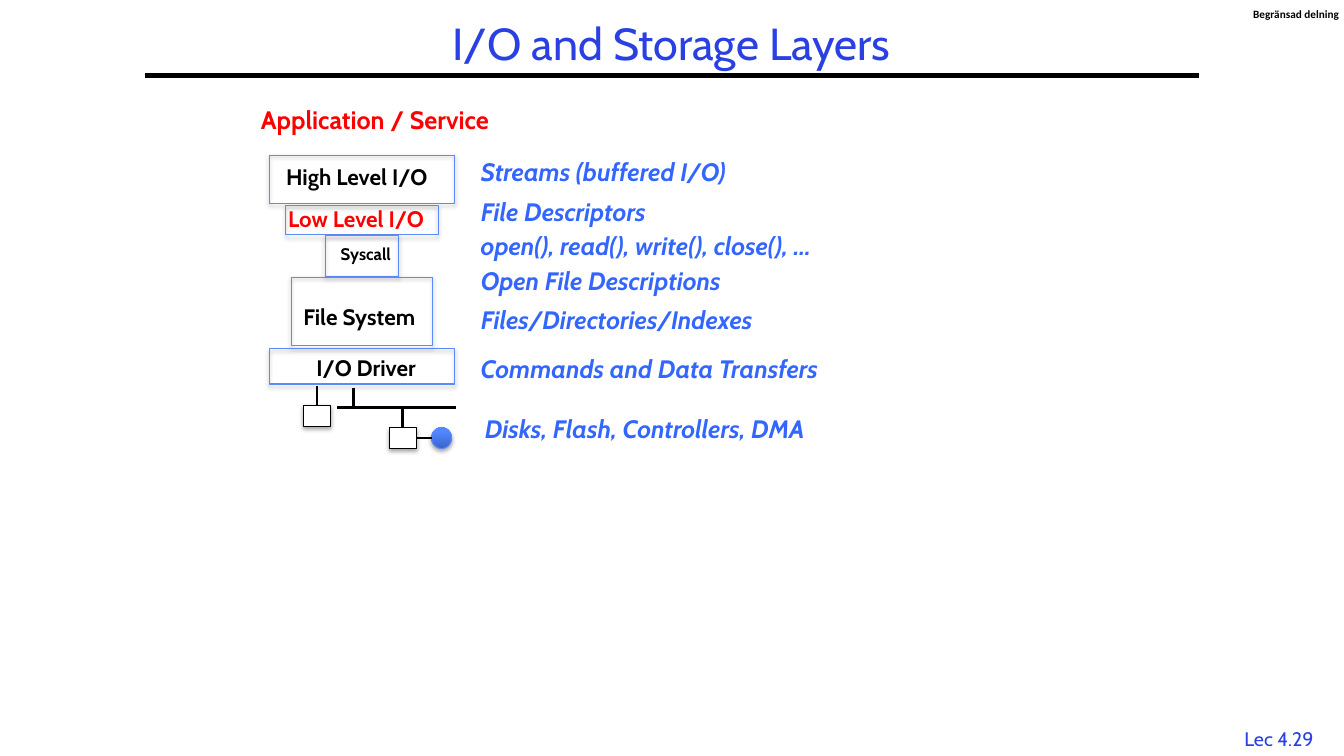
from dataclasses import dataclass
from typing import Optional

from lxml.etree import SubElement as Sub
from pptx import Presentation
from pptx.dml.color import RGBColor as Rgb
from pptx.enum.shapes import MSO_CONNECTOR as Link, MSO_SHAPE as Kind
from pptx.enum.text import MSO_ANCHOR as Anchor, MSO_AUTO_SIZE as Fit, PP_ALIGN as Align
from pptx.oxml.ns import qn
from pptx.util import Inches, Length, Pt


@dataclass(frozen=True)
class Theme:
    font: str = "Cabin"
    small: str = "Calibri"
    black: str = "000000"
    white: str = "FFFFFF"
    red: str = "FF0000"
    blue: str = "2A40E2"
    note: str = "3366FF"
    edge: str = "5B8AFB"
    dark: str = "3764CE"
    light: str = "5487FF"
    title: int = 32
    head: int = 18
    layer: int = 16
    foot: int = 14
    call: int = 12
    tag: int = 8


@dataclass(frozen=True)
class Label:
    text: str
    col: float
    row: float
    wide: float
    high: float
    size: int
    color: str
    bold: bool = True
    slant: bool = False
    font: str = Theme.font
    align: Align = Align.LEFT
    pad: bool = True


@dataclass(frozen=True)
class Layer:
    row: float
    wide: float
    high: float
    label: Label


@dataclass(frozen=True)
class Wire:
    start: tuple[float, float]
    end: tuple[float, float]
    width: float = 2


T = Theme()
COLS, ROWS = 133.3, 75      # grid cells of a tenth of an inch
MID = 35.9                  # shared centre column of the layers

deck = Presentation()
deck.slide_width, deck.slide_height = Inches(13.33), Inches(7.5)
slide = deck.slides.add_slide(deck.slide_layouts[6])


def at_x(col: float) -> Length:
    return Length(round(deck.slide_width * col / COLS))


def at_y(row: float) -> Length:
    return Length(round(deck.slide_height * row / ROWS))


def put_text(item: Label):
    box = slide.shapes.add_textbox(at_x(item.col), at_y(item.row), at_x(item.wide), at_y(item.high))
    frame = box.text_frame
    frame.word_wrap = False
    frame.auto_size = Fit.SHAPE_TO_FIT_TEXT
    if not item.pad:
        frame.margin_left = frame.margin_right = frame.margin_top = frame.margin_bottom = 0
    para = frame.paragraphs[0]
    para.text, para.alignment = item.text, item.align
    font = para.font
    font.name, font.size = item.font, Pt(item.size)
    font.bold, font.italic = item.bold, item.slant
    font.color.rgb = Rgb.from_string(item.color)
    return box


def put_shape(kind: Kind, col: float, row: float, wide: float, high: float,
              edge: str, fill: Optional[str] = None):
    shape = slide.shapes.add_shape(kind, at_x(col), at_y(row), at_x(wide), at_y(high))
    if fill:
        shape.fill.solid()
        shape.fill.fore_color.rgb = Rgb.from_string(fill)
    else:
        shape.fill.background()
    shape.line.color.rgb = Rgb.from_string(edge)
    shape.line.width = Pt(0.75)
    # Soft shadow straight below
    shape.shadow.inherit = False
    list_ = shape._element.spPr.find(qn("a:effectLst"))
    shade = Sub(list_, qn("a:outerShdw"), blurRad=str(Pt(3.1)), dist=str(Pt(1.8)),
                dir="5400000", rotWithShape="0")
    tint = Sub(shade, qn("a:srgbClr"), val=T.black)
    Sub(tint, qn("a:alpha"), val="35000")
    return shape


def put_wire(wire: Wire):
    (x1, y1), (x2, y2) = wire.start, wire.end
    line = slide.shapes.add_connector(Link.STRAIGHT, at_x(x1), at_y(y1), at_x(x2), at_y(y2))
    line.line.color.rgb = Rgb.from_string(T.black)
    line.line.width = Pt(wire.width)
    Sub(line._element.spPr, qn("a:effectLst"))
    return line


# Title, rule and slide marks
put_wire(Wire((14.4, 7.5), (118.9, 7.5), 3))
title = put_text(Label("I/O and Storage Layers", 14.4, 1.7, 104.4, 5.8, T.title, T.blue,
                       bold=False, align=Align.CENTER))
title.text_frame.word_wrap = True
title.text_frame.auto_size = Fit.NONE
title.text_frame.vertical_anchor = Anchor.MIDDLE
title.text_frame.paragraphs[0].line_spacing = 0.9
put_text(Label("Lec 4.29", 122, 71.6, 9.7, 3.3, T.foot, T.blue, bold=False, align=Align.CENTER))
put_text(Label("Begränsad delning", 124.3, 0.7, 8.6, 1.3, T.tag, T.black, font=T.small, pad=False))

# Stack of layers
put_text(Label("Application / Service", 24.9, 9.9, 26.8, 4, T.head, T.red))
LAYERS = [
    Layer(15.4, 18.4, 4.8, Label("High Level I/O", 27.4, 15.7, 17.6, 3.7, T.layer, T.black)),
    Layer(20.4, 15.1, 2.9, Label("Low Level I/O", 27.6, 19.9, 17.1, 3.7, T.layer, T.red)),
    Layer(23.4, 7.3, 4, Label("Syscall", 32.8, 23.7, 7.8, 3, T.call, T.black)),
    Layer(27.5, 14, 6.8, Label("File System", 29.1, 29.6, 14.5, 3.7, T.layer, T.black)),
    Layer(34.6, 18.4, 3.5, Label("I/O Driver", 30.4, 34.6, 12.2, 3.7, T.layer, T.black)),
]
for layer in LAYERS:
    put_text(layer.label)
    put_shape(Kind.RECTANGLE, MID - layer.wide / 2, layer.row, layer.wide, layer.high, T.edge)

# Bus and devices
for wire in (Wire((33.4, 40.4), (45.2, 40.4)), Wire((35.1, 38.5), (35.1, 40.4))):
    put_wire(wire)
drive, chip = (put_shape(Kind.RECTANGLE, col, row, 2.7, 2.1, T.black, T.white)
               for col, row in ((30.1, 40.2), (38.6, 42.4)))
disk = put_shape(Kind.OVAL, 42.8, 42.4, 2, 2.1, T.edge, T.light)
disk.fill.gradient()
disk.fill.gradient_angle = 90
for stop, color, place in zip(disk.fill.gradient_stops, (T.dark, T.light), (0, 0.8)):
    stop.color.rgb = Rgb.from_string(color)
    stop.position = place
put_wire(Wire((31.45, 38.3), (31.45, 40.2))).end_connect(drive, 0)
put_wire(Wire((39.95, 40.4), (39.95, 42.4))).end_connect(chip, 0)
put_wire(Wire((41.3, 43.45), (42.8, 43.45))).begin_connect(chip, 3)

# Notes beside the layers
NOTES = [
    ("Streams (buffered I/O)", 46.7, 15, 28.5),
    ("File Descriptors", 46.7, 19, 21.1),
    ("open(), read(), write(), close(), …", 46.7, 22.4, 40.6),
    ("Open File Descriptions", 46.7, 25.8, 29.5),
    ("Files/Directories/Indexes", 46.7, 29.7, 31.8),
    ("Commands and Data Transfers", 46.7, 34.6, 39.3),
    ("Disks, Flash, Controllers, DMA", 47.1, 40.5, 38.8),
]
for text, col, row, wide in NOTES:
    put_text(Label(text, col, row, wide, 4, T.head, T.note, slant=True))

deck.save("out.pptx")
